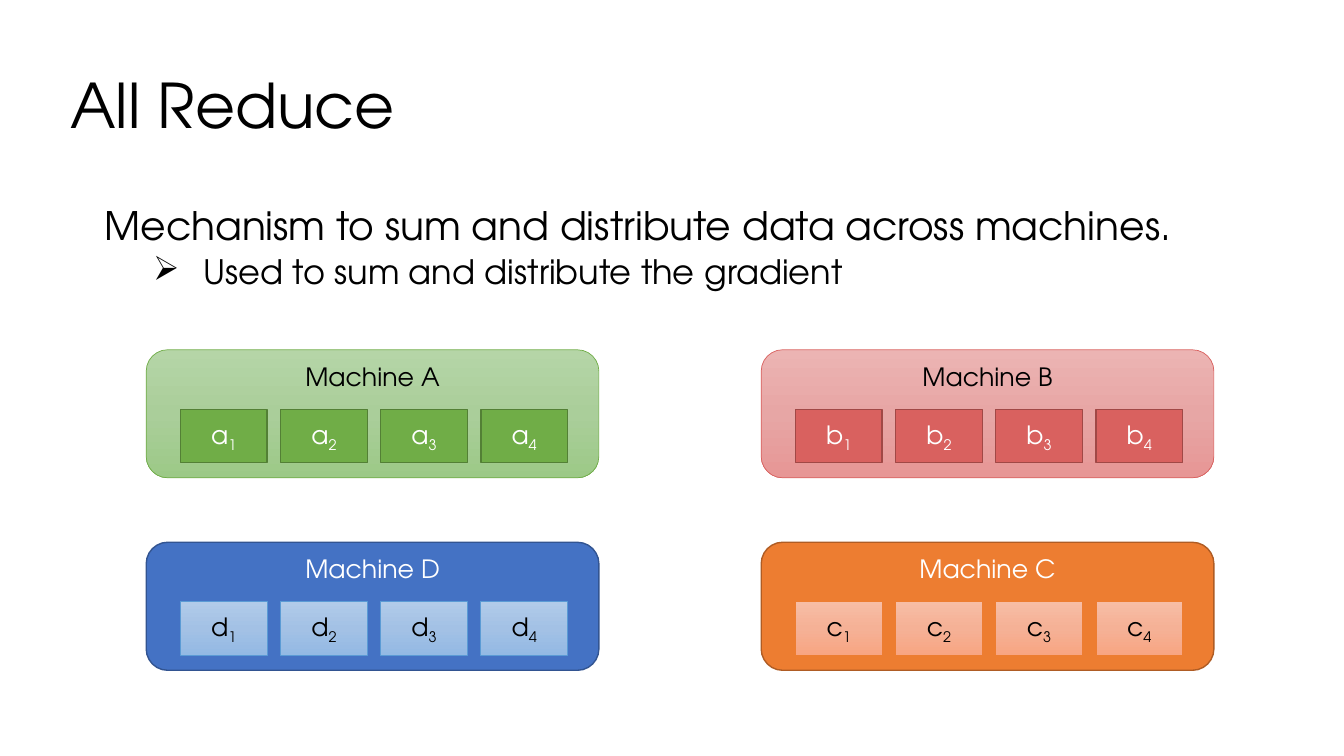
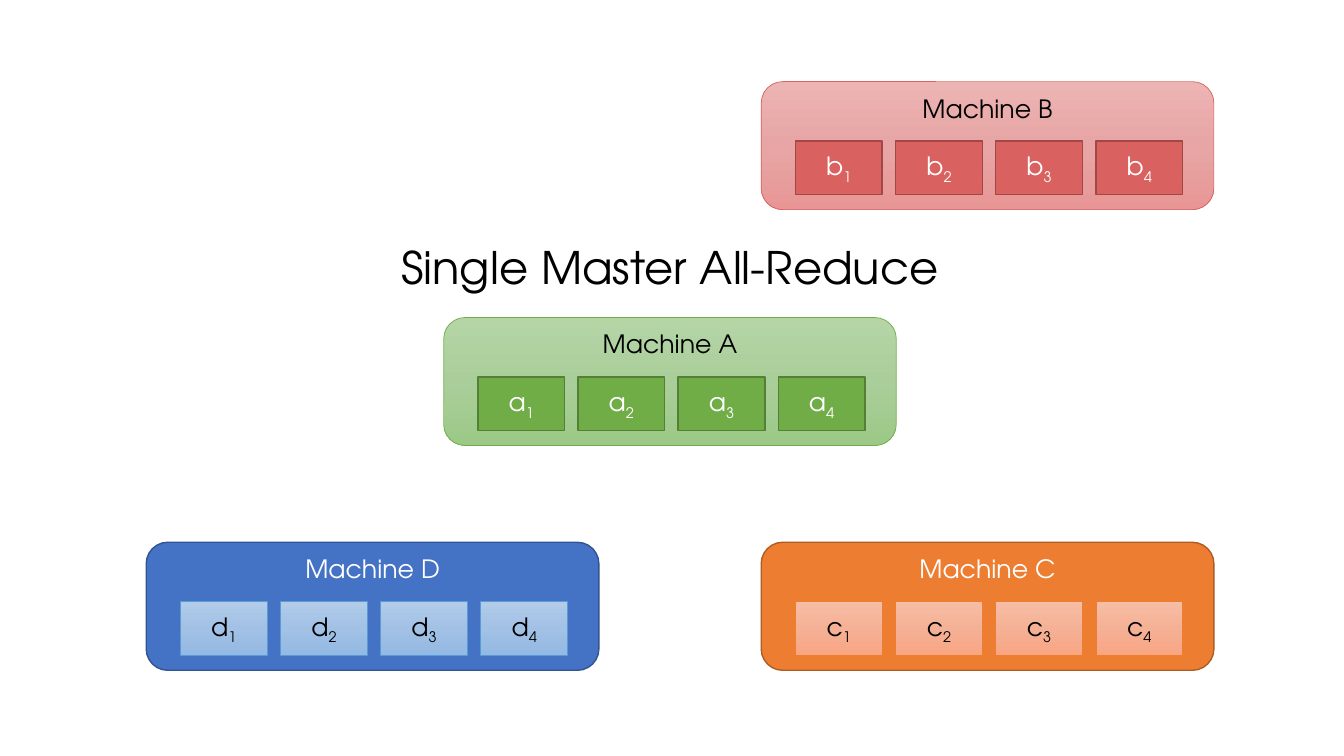
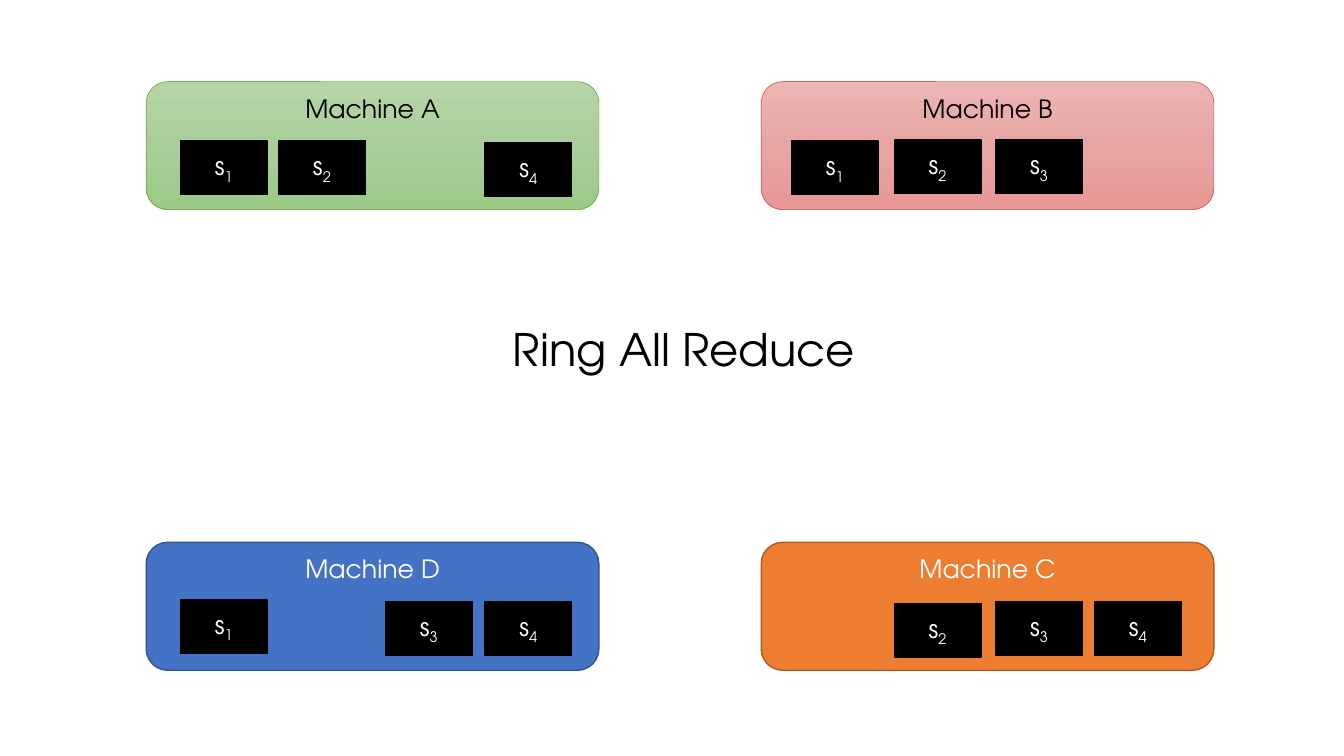
import dataclasses

import lxml.etree
import pptx
import pptx.dml.color
import pptx.enum.shapes
import pptx.enum.text
import pptx.oxml.ns
import pptx.util

SHAPES = pptx.enum.shapes.MSO_SHAPE
ALIGN = pptx.enum.text.PP_ALIGN
ANCHOR = pptx.enum.text.MSO_ANCHOR
SLIDE_WIDTH = pptx.util.Inches(13.33)
SLIDE_HEIGHT = pptx.util.Inches(7.5)

# All positions below are percentages of the slide's width and height.
LEFT, CENTRE, RIGHT = 10.88, 33.01, 56.64
TOP, MIDDLE, UPPER, BOTTOM = 10.8, 42, 46.27, 71.73
MACHINE_SIZE = 33.68, 16.93
CELL_SIZE = 6.45, 7.07
CELL_INSET = 2.55, 7.87
CELL_PITCH = 7.45
ALL_CELLS = {slot: (0, 0) for slot in (1, 2, 3, 4)}


@dataclasses.dataclass(frozen=True)
class Look:
    fill: tuple
    line: str
    line_width: float
    ink: str


@dataclasses.dataclass(frozen=True)
class Theme:
    font: str = "TeX Gyre Adventor"
    ink: str = "000000"
    title: int = 44
    heading: int = 32
    body: int = 28
    detail: int = 24
    label: int = 18
    line_spacing: float = 0.9


THEME = Theme()
MACHINES = {
    "A": Look(("B5D5A7", "AACE9A", "9CC987"), "70AD47", 0.5, "000000"),
    "B": Look(("ECB4B3", "E7A6A5", "E79695"), "D9615F", 0.5, "000000"),
    "C": Look(("ED7D31",), "AF5C24", 1, "FFFFFF"),
    "D": Look(("4472C4",), "325491", 1, "FFFFFF"),
}
CELLS = {
    "a": Look(("70AD47",), "538035", 1, "FFFFFF"),
    "b": Look(("D9615F",), "A14846", 1, "FFFFFF"),
    "c": Look(("F7BDA5", "F5B196", "F8A582"), "ED7D31", 0.5, "000000"),
    "d": Look(("B1CBE9", "A3C1E5", "93B9E4"), "5B9BD5", 0.5, "000000"),
    "s": Look(("000000",), "000000", 1, "FFFFFF"),
}


def rgb(value):
    return pptx.dml.color.RGBColor.from_string(value)


def place(left, top, width, height):
    return [
        pptx.util.Emu(round(share * full / 100))
        for share, full in zip(
            (left, top, width, height),
            (SLIDE_WIDTH, SLIDE_HEIGHT) * 2,
        )
    ]


def paint(shape, colours):
    if len(colours) == 1:
        shape.fill.solid()
        shape.fill.fore_color.rgb = rgb(colours[0])
        return
    qn = pptx.oxml.ns.qn
    shape.fill.gradient()
    shape.fill.gradient_angle = 270
    stops = shape._element.spPr.find(".//" + qn("a:gsLst"))
    for stop in list(stops):
        stops.remove(stop)
    for index, colour in enumerate(colours):
        position = str(100000 * index // (len(colours) - 1))
        stop = lxml.etree.SubElement(stops, qn("a:gs"), pos=position)
        lxml.etree.SubElement(stop, qn("a:srgbClr"), val=colour)


def write(para, text, *, size, colour=THEME.ink, subscript=False):
    span = para.add_run()
    span.text = text
    span.font.name = THEME.font
    span.font.size = pptx.util.Pt(size)
    span.font.color.rgb = rgb(colour)
    if subscript:
        span.font._element.set("baseline", "-25000")


def indent(para, margin, first=0, bullet=None):
    properties = para._p.get_or_add_pPr()
    properties.set("marL", str(pptx.util.Inches(margin)))
    properties.set("indent", str(pptx.util.Inches(first)))
    if bullet:
        lxml.etree.SubElement(properties, pptx.oxml.ns.qn("a:buChar"), char=bullet)


def add_block(page, kind, area, look, anchor):
    shape = page.shapes.add_shape(kind, *place(*area))
    shape.shadow.inherit = False
    paint(shape, look.fill)
    shape.line.color.rgb = rgb(look.line)
    shape.line.width = pptx.util.Pt(look.line_width)
    shape.text_frame.vertical_anchor = anchor
    para = shape.text_frame.paragraphs[0]
    para.alignment = ALIGN.CENTER
    return para


def add_machine(page, name, left, top, letter=None, cells=ALL_CELLS):
    look = MACHINES[name]
    area = (left, top, *MACHINE_SIZE)
    para = add_block(page, SHAPES.ROUNDED_RECTANGLE, area, look, ANCHOR.TOP)
    write(para, f"Machine {name}", size=THEME.label, colour=look.ink)
    letter = letter or name.lower()
    look = CELLS[letter]
    for slot, (shift_x, shift_y) in cells.items():
        cell_left = left + CELL_INSET[0] + (slot - 1) * CELL_PITCH + shift_x
        cell_top = top + CELL_INSET[1] + shift_y
        area = (cell_left, cell_top, *CELL_SIZE)
        para = add_block(page, SHAPES.RECTANGLE, area, look, ANCHOR.MIDDLE)
        write(para, letter, size=THEME.label, colour=look.ink)
        write(para, str(slot), size=THEME.label, colour=look.ink, subscript=True)


def add_text(page, area, text, *, size, wrap=True, anchor=ANCHOR.TOP, spacing=None):
    box = page.shapes.add_textbox(*place(*area))
    frame = box.text_frame
    frame.word_wrap = wrap
    frame.vertical_anchor = anchor
    if not wrap:
        frame.auto_size = pptx.enum.text.MSO_AUTO_SIZE.SHAPE_TO_FIT_TEXT
    para = frame.paragraphs[0]
    para.line_spacing = spacing
    write(para, text, size=size)
    return frame


def build_overview(page):
    add_text(page, (4.5, 4.67, 88.6, 19.33), "All Reduce", size=THEME.title,
             anchor=ANCHOR.MIDDLE, spacing=THEME.line_spacing)
    frame = add_text(page, (6.9, 26.67, 86.27, 16.93),
                     "Mechanism to sum and distribute data across machines.",
                     size=THEME.body, spacing=THEME.line_spacing)
    indent(frame.paragraphs[0], 0.02)
    para = frame.add_paragraph()
    para.level = 1
    para.line_spacing = THEME.line_spacing
    para.space_before = pptx.util.Pt(5)
    indent(para, 1, -0.5, "➢")
    write(para, "Used to sum and distribute the gradient", size=THEME.detail)
    add_machine(page, "A", LEFT, UPPER)
    add_machine(page, "B", RIGHT, UPPER)
    add_machine(page, "D", LEFT, BOTTOM)
    add_machine(page, "C", RIGHT, BOTTOM)


def build_single_master(page):
    add_text(page, (29.11, 31.07, 41.86, 8.53), "Single Master All-Reduce",
             size=THEME.heading, wrap=False)
    add_machine(page, "A", CENTRE, MIDDLE)
    add_machine(page, "B", RIGHT, TOP)
    add_machine(page, "D", LEFT, BOTTOM)
    add_machine(page, "C", RIGHT, BOTTOM)


def build_ring(page):
    add_text(page, (37.43, 41.87, 27.16, 8.53), "Ring All Reduce",
             size=THEME.heading, wrap=False)
    add_machine(page, "A", LEFT, TOP, "s",
                {1: (0, 0), 2: (-0.15, 0), 4: (0.3, 0.25)})
    add_machine(page, "B", RIGHT, TOP, "s",
                {1: (-0.3, 0), 2: (-0.1, -0.15), 3: (0, -0.15)})
    add_machine(page, "D", LEFT, BOTTOM, "s",
                {1: (0, -0.25), 3: (0.35, 0), 4: (0.3, 0)})
    add_machine(page, "C", RIGHT, BOTTOM, "s",
                {2: (-0.1, 0.25), 3: (0, 0), 4: (-0.1, 0)})


def main():
    deck = pptx.Presentation()
    deck.slide_width, deck.slide_height = SLIDE_WIDTH, SLIDE_HEIGHT
    for build in (build_overview, build_single_master, build_ring):
        build(deck.slides.add_slide(deck.slide_layouts[6]))
    deck.save("out.pptx")


if __name__ == "__main__":
    main()
